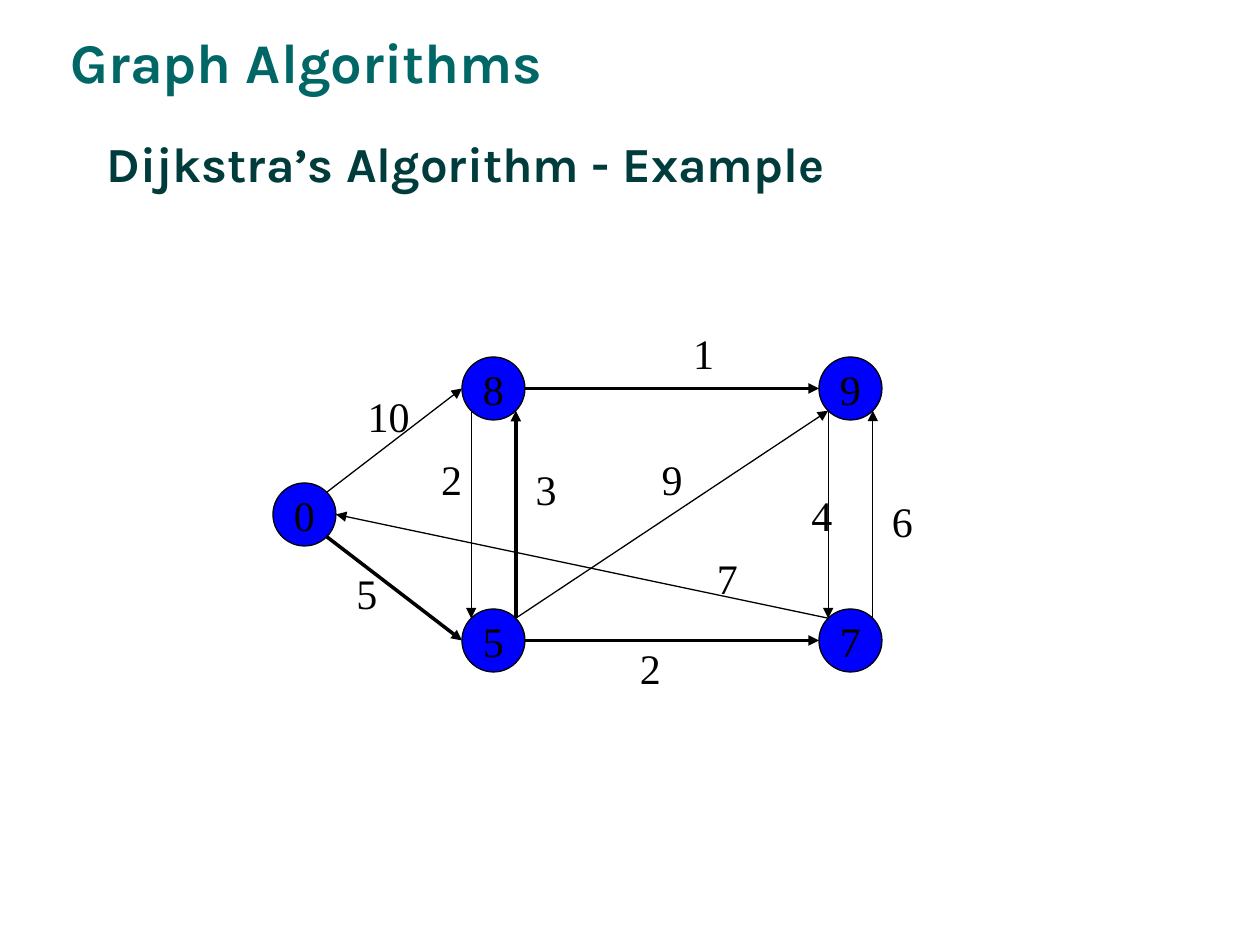
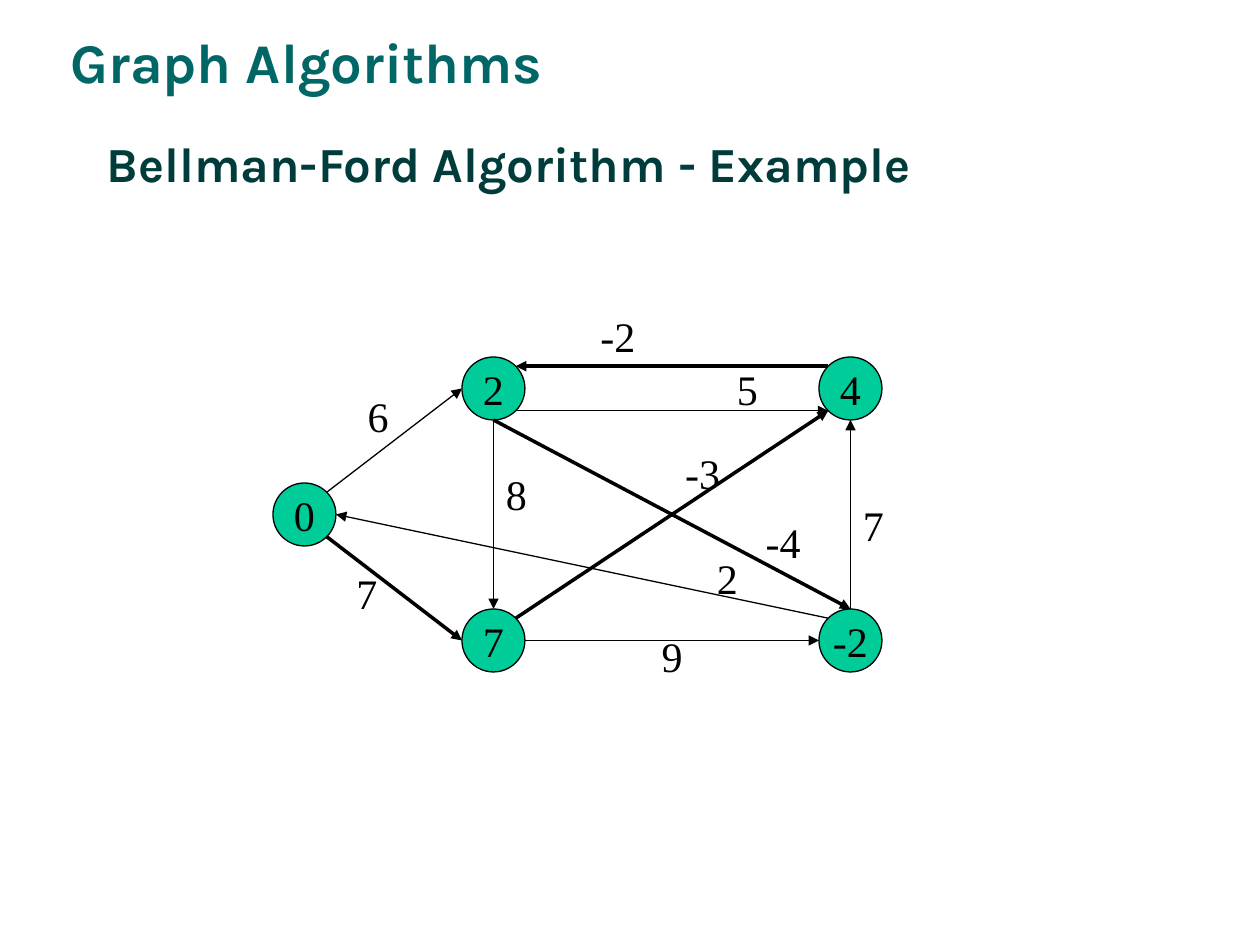
from dataclasses import dataclass

from lxml import etree
from pptx import Presentation
from pptx.dml.color import RGBColor
from pptx.enum import shapes, text
from pptx.oxml import ns
from pptx.util import Pt

# ---- Content: edges are (from, side, to, side, weight, label corner, on the path)
HEADING = "Graph Algorithms"
SLIDES = [
    {
        "title": "Dijkstra’s Algorithm - Example",
        "fill": "0000FF",
        "nodes": {"start": "0", "low_mid": "5", "up_mid": "8", "low_end": "7", "up_end": "9"},
        "edges": [
            ("start", "NE", "up_mid", "W", "10", (203, 219.5), False),
            ("up_mid", "E", "up_end", "W", "1", (389, 183.5), True),
            ("low_mid", "E", "low_end", "W", "2", (358.5, 363.5), True),
            ("start", "SE", "low_mid", "W", "5", (196.5, 321), True),
            ("low_mid", "NE", "up_end", "SW", "9", (371, 255.5), False),
            ("low_end", "NW", "start", "E", "7", (402.5, 312), False),
            ("low_mid", "NE", "up_mid", "SE", "3", (299, 261.5), True),
            ("up_mid", "SW", "low_mid", "NW", "2", (245, 255.5), False),
            ("up_end", "SW", "low_end", "NW", "4", (456.5, 276), False),
            ("low_end", "NE", "up_end", "SE", "6", (502.5, 279.5), False),
        ],
    },
    {
        "title": "Bellman-Ford Algorithm - Example",
        "fill": "00CC99",
        "nodes": {"start": "0", "low_mid": "7", "up_mid": "2", "low_end": "-2", "up_end": "4"},
        "edges": [
            ("start", "NE", "up_mid", "W", "6", (203, 219.5), False),
            ("up_mid", "SE", "up_end", "SW", "5", (414, 204), False),
            ("start", "SE", "low_mid", "W", "7", (196.5, 321), True),
            ("low_mid", "NE", "up_end", "SW", "-3", (384.5, 252), True),
            ("low_end", "NW", "start", "E", "2", (402.5, 312), False),
            ("low_end", "N", "up_end", "S", "7", (486, 282), False),
            ("up_mid", "S", "low_mid", "N", "8", (282, 264), False),
            ("up_end", "NW", "up_mid", "NE", "-2", (336, 174), True),
            ("low_mid", "E", "low_end", "W", "9", (371, 357), False),
            ("up_mid", "S", "low_end", "N", "-4", (430.5, 291.5), True),
        ],
    },
]


# ---- Theme and layout
@dataclass(frozen=True)
class Theme:
    heading: str = "006666"
    title: str = "003C3B"
    ink: str = "000000"
    title_font: str = "Karla"
    graph_font: str = "Times New Roman"
    heading_size: int = 32
    title_size: int = 28
    graph_size: int = 24
    thin: float = 0.75
    thick: float = 2


T = Theme()
RADIUS = 18
CENTERS = {"start": (174, 294), "low_mid": (282, 366), "up_mid": (282, 222),
           "low_end": (486, 366), "up_end": (486, 222)}
STEPS = {"N": (0, -1), "S": (0, 1), "W": (-1, 0), "E": (1, 0)}
CHAR_WIDTH = {"-": 8}


def put_text(sp, content, *, font=T.graph_font, size=T.graph_size, color=T.ink, bold=False,
             align=text.PP_ALIGN.LEFT, anchor=text.MSO_ANCHOR.TOP, wrap=False):
    tf = sp.text_frame
    tf.word_wrap = wrap
    tf.vertical_anchor = anchor
    p = tf.paragraphs[0]
    p.alignment = align
    r = p.add_run()
    r.text = content
    r.font.name, r.font.size, r.font.bold = font, Pt(size), bold
    r.font.color.rgb = RGBColor.from_string(color)


def add_box(s, x, y, w, h, content, **fmt):
    put_text(s.shapes.add_textbox(Pt(x), Pt(y), Pt(w), Pt(h)), content, **fmt)


def add_node(s, name, value, fill):
    x, y = CENTERS[name]
    sp = s.shapes.add_shape(shapes.MSO_SHAPE.FLOWCHART_CONNECTOR, Pt(x - RADIUS),
                            Pt(y - RADIUS), Pt(2 * RADIUS), Pt(2 * RADIUS))
    sp.shadow.inherit = False
    sp.fill.solid()
    sp.fill.fore_color.rgb = RGBColor.from_string(fill)
    sp.line.color.rgb = RGBColor.from_string(T.ink)
    sp.line.width = Pt(T.thin)
    put_text(sp, value, align=text.PP_ALIGN.CENTER, anchor=text.MSO_ANCHOR.MIDDLE)


def rim_point(name, side):
    """Point on a node's rim in a compass direction."""
    x, y = CENTERS[name]
    reach = RADIUS / len(side) ** 0.5
    return (Pt(x + reach * sum(STEPS[c][0] for c in side)),
            Pt(y + reach * sum(STEPS[c][1] for c in side)))


def add_edge(s, tail, tail_side, head, head_side, on_path):
    line = s.shapes.add_connector(shapes.MSO_CONNECTOR.STRAIGHT, *rim_point(tail, tail_side),
                                  *rim_point(head, head_side))
    line.line.color.rgb = RGBColor.from_string(T.ink)
    line.line.width = Pt(T.thick if on_path else T.thin)
    sp_pr = line.element.spPr
    etree.SubElement(sp_pr.find(ns.qn("a:ln")), ns.qn("a:tailEnd"), type="triangle")
    etree.SubElement(sp_pr, ns.qn("a:effectLst"))


def add_graph_slide(prs, data):
    s = prs.slides.add_slide(prs.slide_layouts[6])
    # Heading and title
    add_box(s, 33, 12, 300, 46, HEADING, font=T.title_font, size=T.heading_size,
            color=T.heading, bold=True)
    add_box(s, 54, 48, 666, 90, data["title"], font=T.title_font, size=T.title_size,
            color=T.title, bold=True, anchor=text.MSO_ANCHOR.MIDDLE, wrap=True)
    # Graph: nodes, then edges, then weights
    for name, value in data["nodes"].items():
        add_node(s, name, value, data["fill"])
    for *ends, _, _, on_path in data["edges"]:
        add_edge(s, *ends, on_path)
    for *_, weight, (x, y), _ in data["edges"]:
        width = 14.4 + sum(CHAR_WIDTH.get(c, 12) for c in weight)
        add_box(s, x, y, width, 36, weight)


def main():
    prs = Presentation()
    prs.slide_width, prs.slide_height = Pt(720), Pt(540)
    for data in SLIDES:
        add_graph_slide(prs, data)
    prs.save("out.pptx")


if __name__ == "__main__":
    main()
